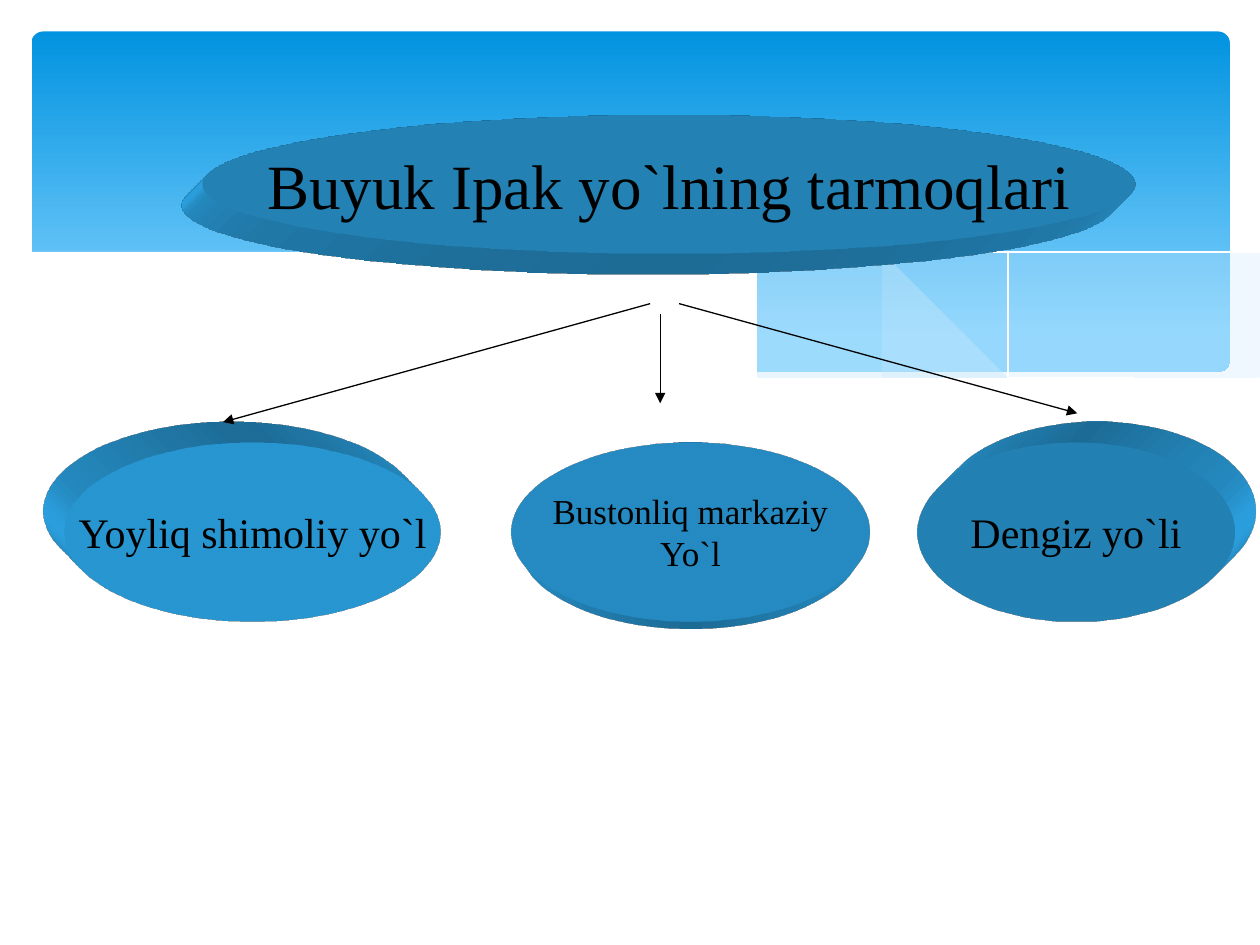
from pptx import Presentation
from pptx.dml.color import RGBColor
from pptx.enum import shapes, text
from pptx.oxml import parse_xml
from pptx.oxml.ns import nsdecls
from pptx.oxml.xmlchemy import OxmlElement
from pptx.util import Inches, Pt

THEME = {
    "font": "Times New Roman", "ink": "000000", "white": "FFFFFF",
    "sky": "0293E0", "pale sky": "83D3FE", "veil": "C6E7FC", "disc": "31B6FD",
    "title": 36, "branch": 24, "small": 20, "arrow": 0.75,
}

TITLE = "Buyuk Ipak yo`lning tarmoqlari"
TITLE_BOX = (1.61, 0.91, 7.4, 1.1)
BRANCH_TOP, BRANCH_HEIGHT = 3.51, 1.42
# lines, left, width, type size, direction of depth, light
BRANCHES = [
    (["Yoyliq shimoliy yo`l"], 0.51, 2.99, "branch", "ObliqueTopLeft", "b"),
    (["Bustonliq markaziy", "Yo`l"], 4.06, 2.84, "small", "PerspectiveBottom", "t"),
    (["Dengiz yo`li"], 7.28, 2.52, "branch", "ObliqueTopRight", "b"),
]
ARROWS = [
    ((5.16, 2.41), (1.77, 3.35)),
    ((5.39, 2.41), (8.55, 3.28)),
    ((5.24, 2.49), (5.24, 3.2)),
]

# Each outline is a list of smooth edges joined by straight sides.
SKY_BOX = (0.25, 0.25, 9.51, 2.7)
VEILS = [
    (29, [
        [(9.76, 1.99), (9.35, 2.07), (8.61, 2.23), (7.79, 2.42), (7.06, 2.57), (6.61, 2.65)],
        [(6.61, 2.65), (7.05, 2.71), (7.57, 2.76), (8.03, 2.78), (8.54, 2.76),
         (8.97, 2.7), (9.35, 2.61), (9.76, 2.47)],
    ]),
    (40, [
        [(8.93, 2.73), (8.37, 2.65), (7.75, 2.54), (7.06, 2.4), (6.29, 2.22), (5.69, 2.08),
         (5.14, 1.98), (4.65, 1.91), (4.2, 1.87), (3.8, 1.86), (3.28, 1.87), (2.86, 1.91)],
        [(2.86, 1.91), (3.42, 1.99), (4.04, 2.11), (4.91, 2.32), (5.66, 2.48), (6.34, 2.61),
         (6.95, 2.7), (7.48, 2.76), (7.96, 2.78), (8.48, 2.77), (8.93, 2.73)],
    ]),
]
THREADS = [
    [(3.09, 1.95), (3.44, 1.9), (4.01, 1.87), (4.69, 1.89), (5.33, 1.94), (6.08, 2.04),
     (6.95, 2.19), (7.95, 2.41), (9.07, 2.72)],
    [(6.13, 2.57), (6.72, 2.41), (7.48, 2.23), (8.36, 2.04), (8.95, 1.94),
     (9.38, 1.88), (9.75, 1.85)],
]
WHITE_WAVE = [
    [(9.77, 2.46), (9.4, 2.59), (8.99, 2.69), (8.5, 2.75), (8.09, 2.77), (7.61, 2.75),
     (7.08, 2.7), (6.47, 2.62), (5.79, 2.5), (5.03, 2.33), (4.18, 2.13), (3.39, 1.97),
     (2.71, 1.88), (2.11, 1.84), (1.61, 1.84), (1.19, 1.87), (0.85, 1.93),
     (0.59, 1.99), (0.36, 2.07), (0.23, 2.13)],
    [(0.23, 3.29), (9.77, 3.29)],
]


def color(name):
    return RGBColor.from_string(THEME[name])


def smooth(points, steps=5):
    """Catmull-Rom curve through the points."""
    padded = [points[0], *points, points[-1]]
    curve = [points[0]]
    for a, b, c, d in zip(padded, padded[1:], padded[2:], padded[3:]):
        for step in range(1, steps + 1):
            t = step / steps
            curve.append(tuple(
                (2 * q + (r - p) * t + (2 * p - 5 * q + 4 * r - s) * t ** 2
                 + (3 * q - p - 3 * r + s) * t ** 3) / 2
                for p, q, r, s in zip(a, b, c, d)))
    return curve


def add_outline(page, edges, close=True):
    points = [point for edge in edges
              for point in (smooth(edge) if len(edge) > 2 else edge)]
    builder = page.shapes.build_freeform(*points[0], scale=Inches(1))
    builder.add_line_segments(points[1:], close=close)
    outline = builder.convert_to_shape()
    outline.shadow.inherit = False
    return outline


def add_veil(page, opacity, edges):
    veil = add_outline(page, edges)
    veil.line.fill.background()
    veil.fill.solid()
    veil.fill.fore_color.rgb = color("veil")
    alpha = OxmlElement("a:alpha")
    alpha.set("val", str(opacity * 1000))
    veil.fill._xPr.solidFill[0].append(alpha)


def add_backdrop(page):
    sky = page.shapes.add_shape(shapes.MSO_SHAPE.ROUNDED_RECTANGLE, *map(Inches, SKY_BOX))
    sky.adjustments[0] = 0.034
    sky.shadow.inherit = False
    sky.line.fill.background()
    sky.fill.gradient()
    sky.fill.gradient_angle = 270
    stops = zip(sky.fill.gradient_stops, ("sky", "pale sky"), (0, 0.9))
    for stop, name, position in stops:
        stop.color.rgb = color(name)
        stop.position = position
    for opacity, edges in VEILS:
        add_veil(page, opacity, edges)
    for points in THREADS:
        thread = add_outline(page, [points], close=False)
        thread.fill.background()
        thread.line.color.rgb = color("white")
        thread.line.width = Pt(0)
    wave = add_outline(page, WHITE_WAVE)
    wave.fill.solid()
    wave.fill.fore_color.rgb = color("white")
    wave.line.fill.background()


def write(box, lines, size):
    frame = box.text_frame
    frame.word_wrap = False
    frame.auto_size = text.MSO_AUTO_SIZE.NONE
    frame.vertical_anchor = text.MSO_ANCHOR.MIDDLE
    frame.text = "\n".join(lines)
    for para in frame.paragraphs:
        para.alignment = text.PP_ALIGN.CENTER
        para.font.name = THEME["font"]
        para.font.size = Pt(THEME[size])
        para.font.color.rgb = color("ink")


def add_disc(page, area, camera, light):
    """Ellipse with a solid, extruded edge."""
    disc = page.shapes.add_shape(shapes.MSO_SHAPE.OVAL, *map(Inches, area))
    disc.shadow.inherit = False
    disc.fill.solid()
    disc.fill.fore_color.rgb = color("disc")
    disc.line.fill.background()
    properties = disc._element.spPr
    properties.append(parse_xml(
        f'<a:scene3d {nsdecls("a")}><a:camera prst="legacy{camera}"/>'
        f'<a:lightRig rig="legacyFlat3" dir="{light}"/></a:scene3d>'))
    properties.append(parse_xml(
        f'<a:sp3d {nsdecls("a")} extrusionH="430200" prstMaterial="legacyMatte">'
        '<a:bevelT w="13500" h="13500" prst="angle"/>'
        '<a:bevelB w="13500" h="13500" prst="angle"/>'
        f'<a:extrusionClr><a:srgbClr val="{THEME["disc"]}"/></a:extrusionClr></a:sp3d>'))
    return disc


def add_arrow(page, start, end):
    arrow = page.shapes.add_connector(
        shapes.MSO_CONNECTOR.STRAIGHT, *map(Inches, start + end))
    arrow.line.color.rgb = color("ink")
    arrow.line.width = Pt(THEME["arrow"])
    head = OxmlElement("a:tailEnd")
    head.set("type", "triangle")
    arrow.line._get_or_add_ln().append(head)
    arrow._element.spPr.append(OxmlElement("a:effectLst"))


def main():
    deck = Presentation()
    deck.slide_width, deck.slide_height = Inches(10), Inches(7.5)
    page = deck.slides.add_slide(deck.slide_layouts[5])
    add_backdrop(page)

    add_disc(page, TITLE_BOX, "ObliqueBottomLeft", "t")
    title = page.shapes.title
    title.left, title.top, title.width, title.height = map(Inches, TITLE_BOX)
    write(title, [TITLE], "title")
    page.shapes._spTree.append(title._element)  # in front of its disc

    for lines, left, width, size, camera, light in BRANCHES:
        area = (left, BRANCH_TOP, width, BRANCH_HEIGHT)
        write(add_disc(page, area, camera, light), lines, size)
    for start, end in ARROWS:
        add_arrow(page, start, end)
    deck.save("out.pptx")


if __name__ == "__main__":
    main()
